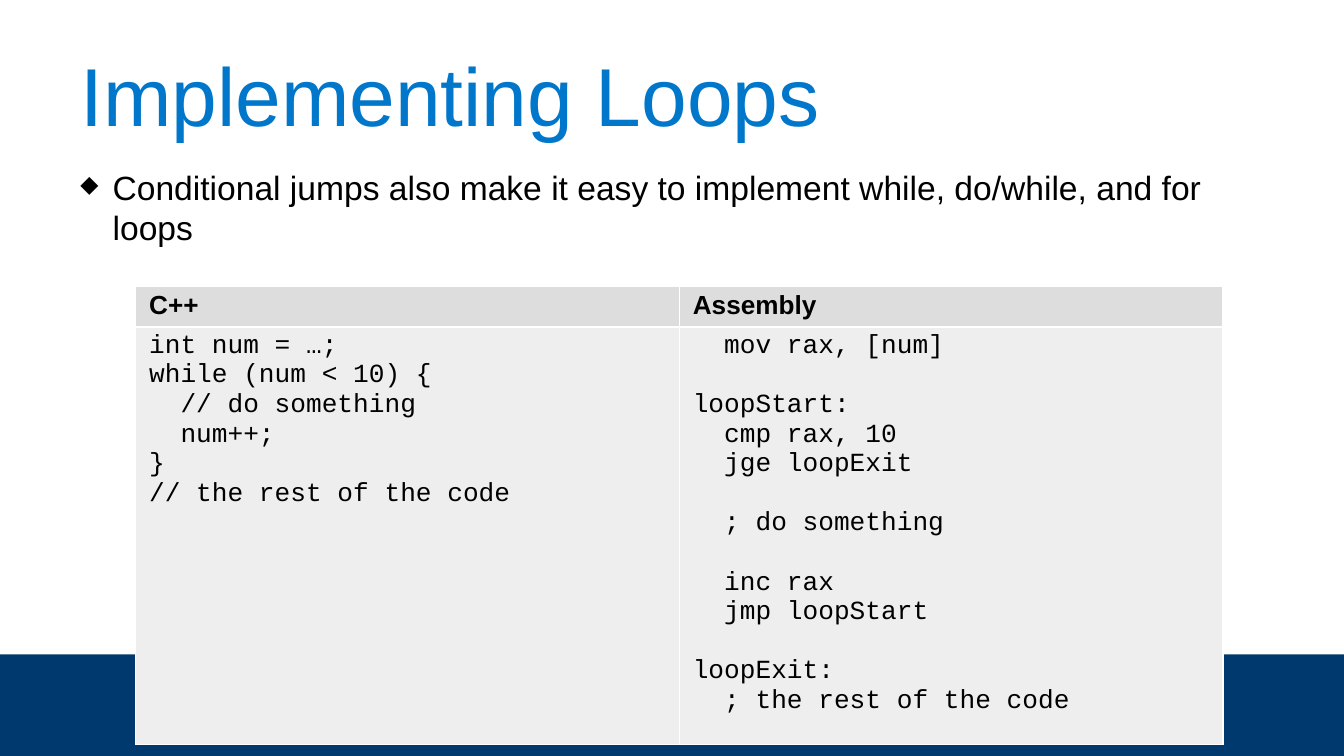
import pptx
import pptx.dml.color
import pptx.enum.shapes
import pptx.enum.text
import pptx.oxml
import pptx.oxml.ns
import pptx.util
from pptx.util import Inches

COLORS = {
    "band": "00396E",
    "title": "0077CA",
    "text": "000000",
    "header": "DDDDDD",
    "code": "EEEEEE",
    "border": "FFFFFF",
}

CPP = """int num = …;
while (num < 10) {
  // do something
  num++;
}
// the rest of the code"""

ASSEMBLY = """  mov rax, [num]

loopStart:
  cmp rax, 10
  jge loopExit

  ; do something

  inc rax
  jmp loopStart

loopExit:
  ; the rest of the code"""


class SlideBuilder:
    """Draws styled elements on the current slide."""

    body_font = "Arial"
    code_font = "Courier New"
    table_size = 14

    def __init__(self, slide):
        self.slide = slide

    def color(self, name):
        return pptx.dml.color.RGBColor.from_string(COLORS[name])

    def style(self, paragraph, size, color="text", font=None, bold=False):
        paragraph.font.name = font or self.body_font
        paragraph.font.size = pptx.util.Pt(size)
        paragraph.font.bold = bold
        paragraph.font.color.rgb = self.color(color)

    def add_xml(self, parent, tag, content):
        namespace = pptx.oxml.ns.nsdecls("a")
        parent.append(pptx.oxml.parse_xml(f"<a:{tag} {namespace}{content}"))

    def band(self, left, top, width, height):
        band = self.slide.shapes.add_shape(
            pptx.enum.shapes.MSO_SHAPE.RECTANGLE, left, top, width, height)
        band.shadow.inherit = False
        band.fill.solid()
        band.fill.fore_color.rgb = self.color("band")
        band.line.fill.background()

    def text(self, words, left, top, width, height, size, color="text",
             anchor=pptx.enum.text.MSO_ANCHOR.TOP):
        frame = self.slide.shapes.add_textbox(left, top, width, height).text_frame
        frame.word_wrap = True
        frame.vertical_anchor = anchor
        paragraph = frame.paragraphs[0]
        paragraph.text = words
        return self.style(paragraph, size, color) or paragraph

    def bullet(self, words, left, top, width, height, size):
        paragraph = self.text(words, left, top, width, height, size)
        properties = paragraph._p.get_or_add_pPr()
        properties.set("marL", str(Inches(0.24)))
        properties.set("indent", str(Inches(-0.27)))
        bullet_parts = {
            "buClr": f'><a:srgbClr val="{COLORS["text"]}"/></a:buClr>',
            "buSzPct": ' val="70000"/>',
            "buChar": ' char="◆"/>',
        }
        for tag, content in bullet_parts.items():
            self.add_xml(properties, tag, content)
        properties.append(properties.find(pptx.oxml.ns.qn("a:defRPr")))

    def cell(self, cell, fill):
        cell.margin_left = cell.margin_right = Inches(0.1)
        cell.margin_top = cell.margin_bottom = Inches(0.035)
        properties = cell._tc.get_or_add_tcPr()
        for side in ("lnL", "lnR", "lnT", "lnB"):
            self.add_xml(properties, side,
                         f' w="{pptx.util.Pt(0.75)}"><a:solidFill>'
                         f'<a:srgbClr val="{COLORS["border"]}"/></a:solidFill></a:{side}>')
        cell.fill.solid()
        cell.fill.fore_color.rgb = self.color(fill)

    def code(self, frame, listing):
        frame.text = listing
        for paragraph in frame.paragraphs:
            self.style(paragraph, self.table_size, font=self.code_font)
            if not paragraph.text:
                self.add_xml(paragraph._p, "endParaRPr",
                             f' sz="{self.table_size * 100}">'
                             f'<a:latin typeface="{self.code_font}"/></a:endParaRPr>')

    def code_table(self, listings, left, top, width, row_heights):
        table = self.slide.shapes.add_table(
            2, len(listings), left, top, width, sum(row_heights)).table
        for row, height in zip(table.rows, row_heights):
            row.height = height
        for column, (language, listing) in enumerate(listings.items()):
            header, body = table.cell(0, column), table.cell(1, column)
            self.cell(header, "header")
            self.cell(body, "code")
            header.text = language
            self.style(header.text_frame.paragraphs[0], self.table_size, bold=True)
            self.code(body.text_frame, listing)


def main():
    presentation = pptx.Presentation()
    presentation.slide_width = Inches(10)
    presentation.slide_height = Inches(10) * 9 // 16
    builder = SlideBuilder(presentation.slides.add_slide(presentation.slide_layouts[6]))
    builder.band(0, Inches(4.87), Inches(10), Inches(0.76))
    builder.text("Implementing Loops", Inches(0.5), Inches(0.23), Inches(9), Inches(0.94),
                 44, "title", pptx.enum.text.MSO_ANCHOR.MIDDLE)
    builder.bullet("Conditional jumps also make it easy to implement while, do/while, and for loops",
                   Inches(0.5), Inches(1.19), Inches(9), Inches(3.84), 18)
    builder.code_table({"C++": CPP, "Assembly": ASSEMBLY}, Inches(1.01), Inches(2.13),
                       Inches(8.09), [Inches(0.28), Inches(2.92)])
    presentation.save("out.pptx")


if __name__ == "__main__":
    main()
